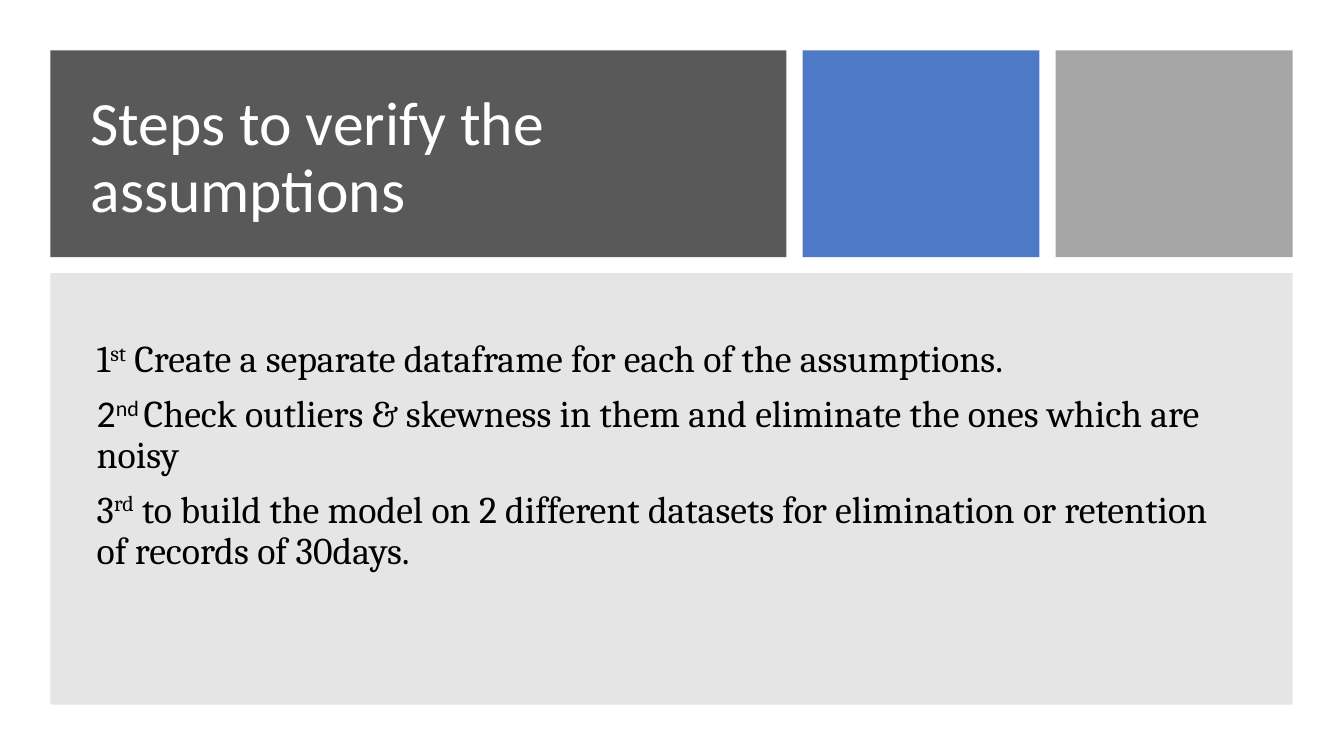
from lxml.etree import SubElement
from pptx import Presentation
from pptx.dml.color import RGBColor
from pptx.enum.shapes import MSO_SHAPE
from pptx.enum.text import MSO_ANCHOR, PP_ALIGN
from pptx.oxml.ns import qn
from pptx.util import Inches, Pt


def color(value):
    return RGBColor.from_string(value)


class SlideBuilder:
    heading_font = "Calibri"
    body_font = "Cambria"
    line_spacing = 0.9

    def __init__(self, deck):
        self.page = deck.slides.add_slide(deck.slide_layouts[6])

    def panel(self, left, top, width, height, fill, opacity=100):
        box = self.page.shapes.add_shape(
            MSO_SHAPE.RECTANGLE, Inches(left), Inches(top), Inches(width), Inches(height))
        box.shadow.inherit = False
        box.line.fill.background()
        box.fill.solid()
        box.fill.fore_color.rgb = color(fill)
        if opacity < 100:
            fill_color = box.fill._xPr.find(qn("a:solidFill"))[0]
            SubElement(fill_color, qn("a:alpha"), val=str(opacity * 1000))

    def text(self, left, top, width, height, paragraphs, size, fill,
             space_before=0, bottom_margin=0.05):
        box = self.page.shapes.add_textbox(
            Inches(left), Inches(top), Inches(width), Inches(height))
        frame = box.text_frame
        frame.word_wrap = True
        frame.vertical_anchor = MSO_ANCHOR.MIDDLE
        frame.margin_bottom = Inches(bottom_margin)
        for index, spans in enumerate(paragraphs):
            para = frame.add_paragraph() if index else frame.paragraphs[0]
            para.alignment = PP_ALIGN.LEFT
            para.line_spacing = self.line_spacing
            para.space_before = Pt(space_before)
            for words, font, raised in spans:
                span = para.add_run()
                span.text = words
                span.font.name = font
                span.font.size = Pt(size)
                span.font.color.rgb = color(fill)
                if raised:
                    span.font._element.set("baseline", "30000")

    def title(self, left, top, width, height, words):
        self.text(left, top, width, height,
                  [[(words, self.heading_font, False)]], 44, "FFFFFF")

    def steps(self, left, top, width, height, steps):
        paragraphs = [
            [(number, font, False), (suffix, font, True), (words, self.body_font, False)]
            for number, suffix, words, font in steps]
        self.text(left, top, width, height, paragraphs, 27, "000000",
                  space_before=10, bottom_margin=0.71)


def main():
    deck = Presentation()
    deck.slide_width = Inches(13.33)
    deck.slide_height = Inches(7.5)
    slide = SlideBuilder(deck)

    margin, gap = 0.5, 0.16
    title_width, tile_width, header_height = 7.3, 2.35, 2.05
    slide.panel(margin, margin, title_width, header_height, "595959")
    slide.title(0.8, 0.8, 6.66, 1.56, "Steps to verify the assumptions")

    tile_left = margin + title_width + gap
    for index, (fill, opacity) in enumerate([("4472C4", 95), ("A5A5A5", 100)]):
        slide.panel(tile_left + index * (tile_width + gap), margin,
                    tile_width, header_height, fill, opacity)

    slide.panel(margin, margin + header_height + gap, 12.32, 4.28, "808080", 20)
    slide.steps(0.86, 3.06, 11.59, 3.59, [
        ("1", "st", " Create a separate dataframe for each of the assumptions.",
         slide.body_font),
        ("2", "nd ", "Check outliers & skewness in them and eliminate the ones which are noisy",
         slide.heading_font),
        ("3", "rd", " to build the model on 2 different datasets for elimination "
         "or retention of records of 30days.", slide.body_font),
    ])
    deck.save("out.pptx")


if __name__ == "__main__":
    main()
